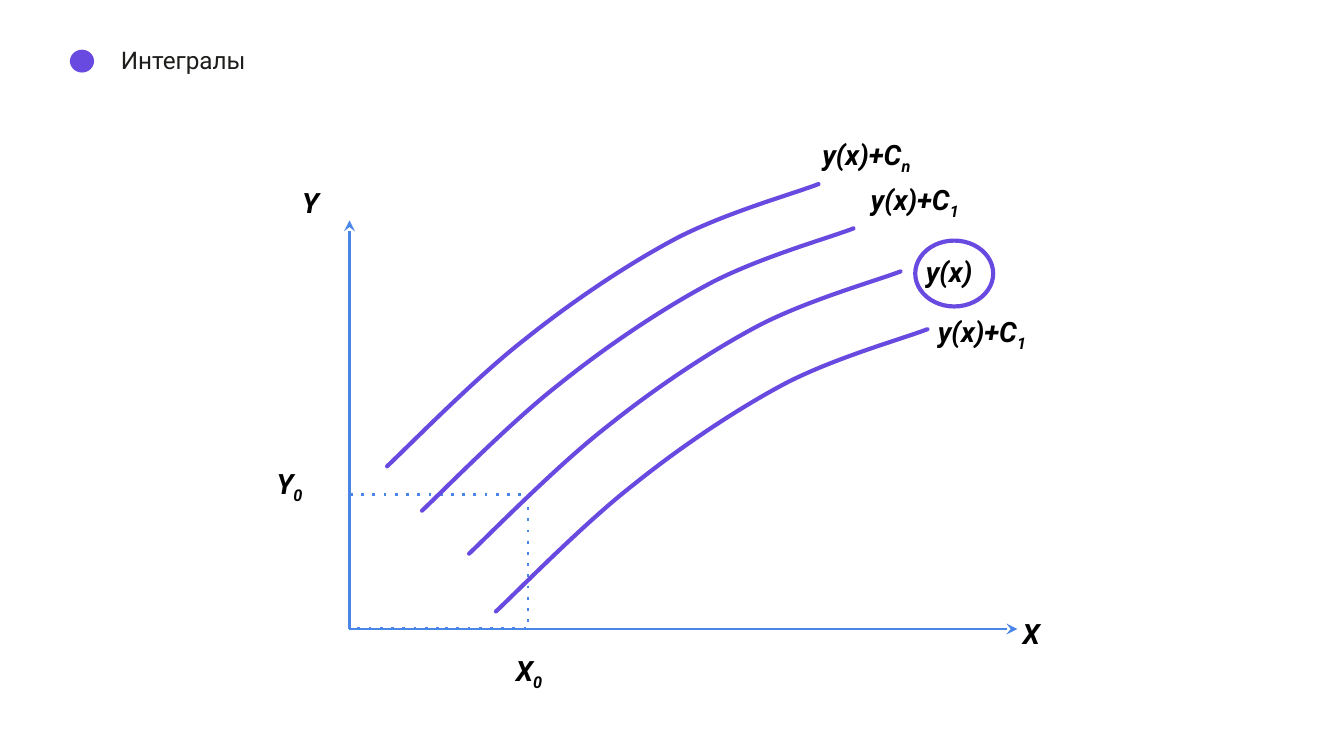
from dataclasses import dataclass

from lxml import etree
from pptx import Presentation
from pptx.dml.color import RGBColor as RGB
from pptx.enum.shapes import MSO_CONNECTOR as Link, MSO_SHAPE as Kind
from pptx.enum.text import MSO_ANCHOR as Anchor
from pptx.oxml.ns import qn
from pptx.util import Inches, Pt


@dataclass(frozen=True)
class Theme:
    font: str = "Roboto"
    ink: RGB = RGB(0x00, 0x00, 0x00)
    title: RGB = RGB(0x1D, 0x1D, 0x1B)
    curve: RGB = RGB(0x68, 0x4A, 0xE0)
    axis: RGB = RGB(0x4A, 0x86, 0xE8)
    title_size: float = 13
    label_size: float = 15
    thin: float = 1.5
    thick: float = 2.25


THEME = Theme()

# Bezier points of one curve, measured from its lower end
ARC = [(0.17, -0.16), (0.66, -0.66), (1.02, -0.94),
       (1.38, -1.23), (1.8, -1.51), (2.16, -1.7),
       (2.53, -1.89), (3.03, -2.03), (3.21, -2.1)]

# Lower end of each curve, from the plot's top left corner
STARTS = [(0.28, 1.83), (0.54, 2.16), (0.89, 2.48), (1.09, 2.91)]

# Left, top, width, text, subscript
LABELS = [(-0.45, -0.36, 0.39, "Y", ""),
          (-0.64, 1.73, 0.55, "Y", "0"),
          (1.14, 3.12, 0.58, "X", "0"),
          (4.91, 2.85, 0.39, "X", ""),
          (3.42, -0.72, 1.25, "y(x)+C", "n"),
          (3.78, -0.38, 1.25, "y(x)+C", "1"),
          (4.28, 0.6, 1.25, "y(x)+C", "1"),
          (4.19, 0.15, 0.58, "y(x)", "")]


def add_text(slide, box, text, sub="", size=THEME.label_size, color=THEME.ink,
             bold=True, italic=True, pad=(0.1, 0.1), spacing=None):
    """Write text with an optional subscript; pad is the side and top inset."""
    frame = slide.shapes.add_textbox(*map(Inches, box)).text_frame
    frame.word_wrap = True
    frame.vertical_anchor = Anchor.TOP
    frame.margin_left = frame.margin_right = Inches(pad[0])
    frame.margin_top, frame.margin_bottom = Inches(pad[1]), Inches(pad[0])
    para = frame.paragraphs[0]
    if spacing:
        para.line_spacing = spacing
    for part, base in ((text, None), (sub, "-25000")):
        if not part:
            continue
        run = para.add_run()
        run.text = part
        font = run.font
        font.name, font.size, font.color.rgb = THEME.font, Pt(size), color
        font.bold, font.italic = bold, italic
        if base:
            run._r.get_or_add_rPr().set("baseline", base)


def outline(shape, color, width):
    shape.shadow.inherit = False
    shape.fill.background()
    shape.line.color.rgb = color
    shape.line.width = Pt(width)


def add_axis(slide, start, end):
    axis = slide.shapes.add_connector(Link.STRAIGHT, *map(Inches, start + end))
    axis.line.color.rgb = THEME.axis
    axis.line.width = Pt(THEME.thin)
    etree.SubElement(axis.line._get_or_add_ln(), qn("a:tailEnd"), type="stealth")
    etree.SubElement(axis._element.spPr, qn("a:effectLst"))


def add_curve(slide, x, y):
    """Draw the arc from (x, y), turning each three points into a Bezier."""
    pen = slide.shapes.build_freeform(Inches(x), Inches(y))
    pen.add_line_segments([(Inches(x + dx), Inches(y + dy)) for dx, dy in ARC],
                          close=False)
    curve = pen.convert_to_shape()
    outline(curve, THEME.curve, THEME.thick)
    curve.line._get_or_add_ln().set("cap", "rnd")
    steps = list(curve._element.iter(qn("a:lnTo")))
    track = steps[0].getparent()
    for i in range(0, len(steps), 3):
        bend = etree.SubElement(track, qn("a:cubicBezTo"))
        for step in steps[i:i + 3]:
            bend.append(step[0])
            track.remove(step)


def add_header(slide, left, top, width, height):
    mark = slide.shapes.add_shape(Kind.OVAL, Inches(left), Inches(top + 0.11),
                                  Inches(0.18), Inches(0.17))
    mark.shadow.inherit = False
    mark.fill.solid()
    mark.fill.fore_color.rgb = THEME.curve
    mark.line.fill.background()
    add_text(slide, (left + 0.38, top, width - 0.38, height), "Интегралы",
             size=THEME.title_size, color=THEME.title, bold=False,
             italic=False, pad=(0, 0.11), spacing=0.85)


def add_plot(slide, left, top, width, height):
    base = top + height
    guide = slide.shapes.add_shape(Kind.RECTANGLE, Inches(left), Inches(base - 1),
                                   Inches(1.33), Inches(1))
    outline(guide, THEME.axis, THEME.thin)
    etree.SubElement(guide.line._get_or_add_ln(), qn("a:prstDash"), val="dot")

    ring = slide.shapes.add_shape(Kind.OVAL, Inches(left + 4.21), Inches(top + 0.15),
                                  Inches(0.58), Inches(0.49))
    outline(ring, THEME.curve, THEME.thick)

    add_axis(slide, (left, base), (left, top))
    add_axis(slide, (left, base), (left + width, base))
    for x, y in STARTS:
        add_curve(slide, left + x, top + y)
    for x, y, wide, text, sub in LABELS:
        add_text(slide, (left + x, top + y, wide, 0.45), text, sub=sub)


def main():
    deck = Presentation()
    deck.slide_width = Inches(10)
    deck.slide_height = deck.slide_width * 9 // 16
    slide = deck.slides.add_slide(deck.slide_layouts[6])
    add_header(slide, 0.52, 0.26, 4.9, 0.28)
    add_plot(slide, 2.6, 1.64, 4.97, 3.04)
    deck.save("out.pptx")


if __name__ == "__main__":
    main()
